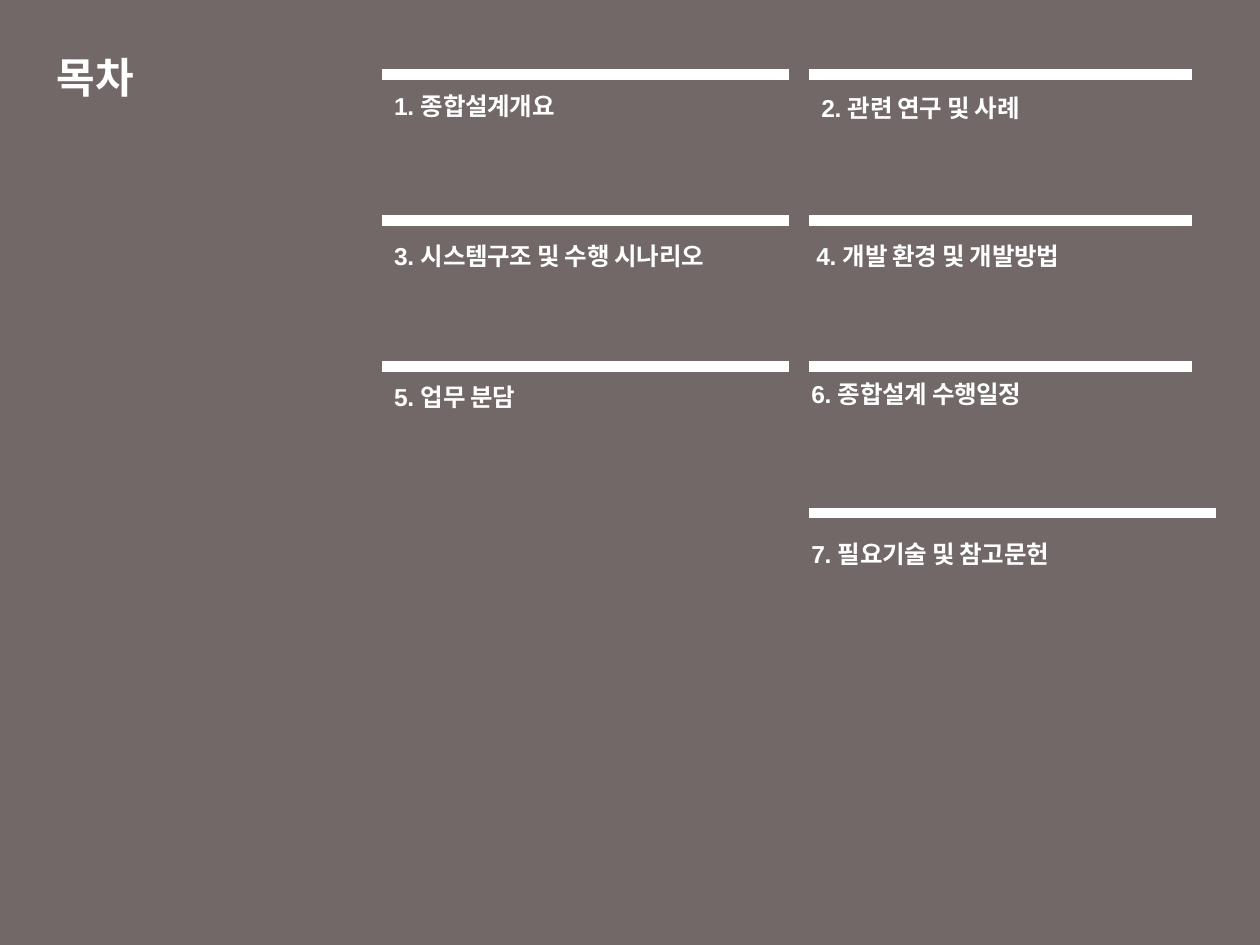
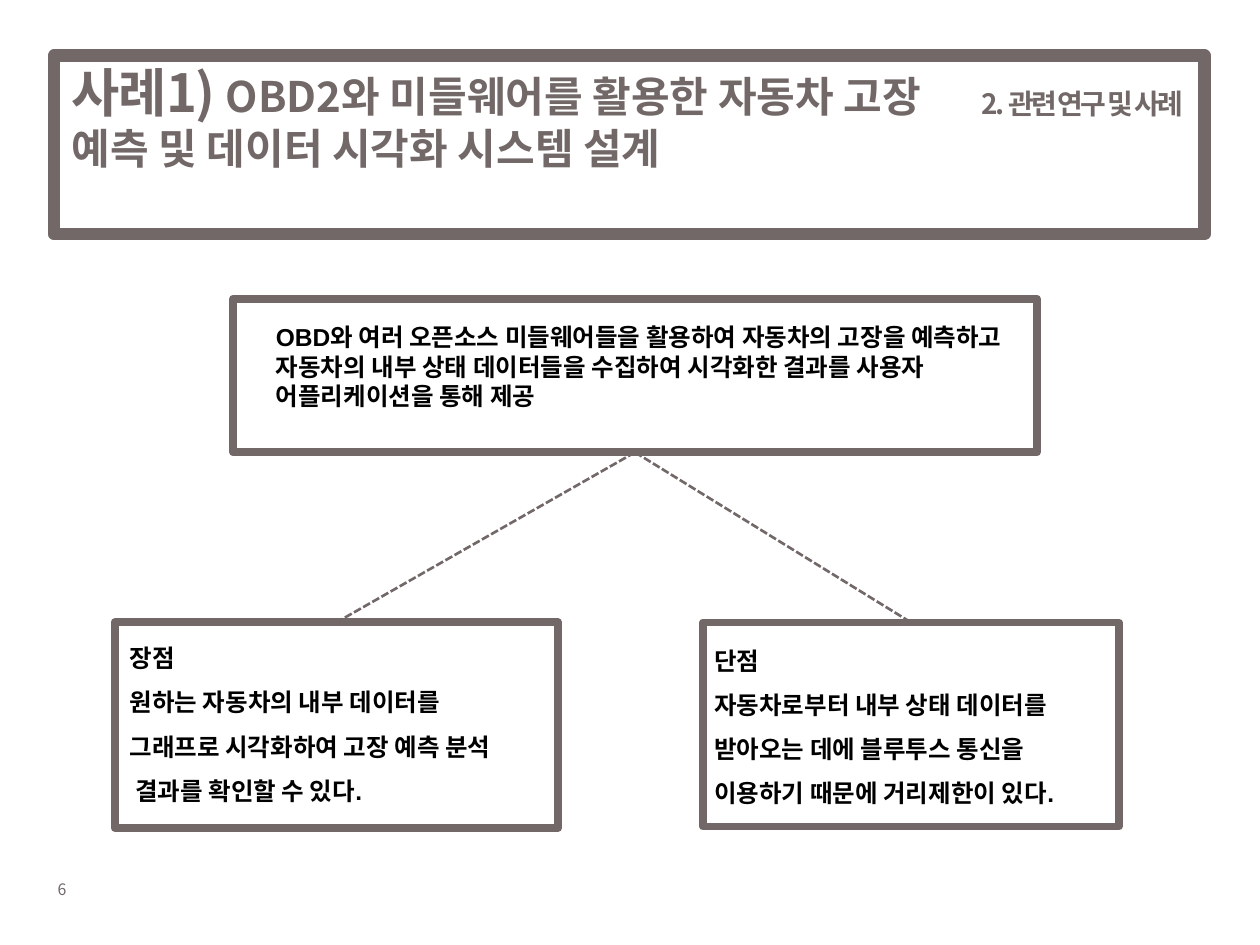
from lxml.etree import SubElement
from pptx import Presentation
from pptx.dml.color import RGBColor
from pptx.enum.dml import MSO_LINE
from pptx.enum.shapes import MSO_CONNECTOR, MSO_SHAPE
from pptx.enum.text import MSO_ANCHOR, MSO_AUTO_SIZE, PP_ALIGN
from pptx.oxml.ns import qn
from pptx.util import Inches, Pt

COLUMNS, ROWS = 100, 75
CELL = Inches(0.1)
TAUPE, WHITE, BLACK = "726868", "FFFFFF", "000000"
KOREAN, LATIN = "Noto Sans CJK KR", "Arial"
TITLE_ONLY = 5

AGENDA_LEFT = (30.3, 64.2)
AGENDA_WIDTH = (32.3, 30.4)
AGENDA_TOP, AGENDA_STEP = 5.9, 11.6
AGENDA = [
    ("1. 종합설계개요", 0, 0, 0, 0.8),
    ("2. 관련 연구 및 사례", 1, 0, 0, 1),
    ("3. 시스템구조 및 수행 시나리오", 0, 1, 0, 1.1),
    ("4. 개발 환경 및 개발방법", 1, 1, -0.4, 1.1),
    ("5. 업무 분담", 0, 2, 0, 0.7),
    ("6. 종합설계 수행일정", 1, 2, -0.8, 0.5),
    ("7. 필요기술 및 참고문헌", 1, 3, -0.8, 1.6),
]
SUMMARY = (
    "OBD와 여러 오픈소스 미들웨어들을 활용하여 자동차의 고장을 "
    "예측하고 자동차의 내부 상태 데이터들을 수집하여 시각화한 결과를 "
    "사용자 어플리케이션을 통해 제공"
)
PROS = [
    "장점",
    "원하는 자동차의 내부 데이터를",
    "그래프로 시각화하여 고장 예측 분석",
    " 결과를 확인할 수 있다.",
]
CONS = [
    "단점",
    "자동차로부터 내부 상태 데이터를",
    "받아오는 데에 블루투스 통신을",
    "이용하기 때문에 거리제한이 있다.",
]


def rgb(value):
    return RGBColor.from_string(value)


def cells(*counts):
    return [int(count * CELL) for count in counts]


def add_run(p, text, size=14, font=LATIN, color=BLACK, bold=True, spacing=0):
    r = p.add_run()
    r.text = text
    r.font.size = Pt(size)
    r.font.name = font
    r.font.bold = bold
    r.font.color.rgb = rgb(color)
    props = r.font._element
    props.set("spc", str(round(spacing * 100)))
    SubElement(props, qn("a:ea")).set("typeface", KOREAN)


def add_text(s, at, lines, align=PP_ALIGN.LEFT, leading=16.8, wrap=True, **style):
    tf = s.shapes.add_textbox(*cells(*at)).text_frame
    tf.word_wrap = wrap
    for i, line in enumerate(lines):
        p = tf.add_paragraph() if i else tf.paragraphs[0]
        p.alignment = align
        if leading:
            p.line_spacing = Pt(leading)
        add_run(p, line, **style)


def set_title(s, at, runs, anchor, leading=None):
    sp = s.shapes.title
    sp.left, sp.top, sp.width, sp.height = cells(*at)
    tf = sp.text_frame
    tf.word_wrap = True
    tf.auto_size = MSO_AUTO_SIZE.NONE
    tf.vertical_anchor = anchor
    p = tf.paragraphs[0]
    p.alignment = PP_ALIGN.LEFT
    if leading:
        p.line_spacing = Pt(leading)
    for text, style in runs:
        add_run(p, text, font=KOREAN, **style)


def add_rect(s, at, fill=None, border=0):
    sp = s.shapes.add_shape(MSO_SHAPE.RECTANGLE, *cells(*at))
    sp.shadow.inherit = False
    if fill:
        sp.fill.solid()
        sp.fill.fore_color.rgb = rgb(fill)
    else:
        sp.fill.background()
    if border:
        sp.line.color.rgb = rgb(TAUPE)
        sp.line.width = Pt(border)
    else:
        sp.line.fill.background()
    return sp


def add_line(s, color, width, ends=(0, 0, 0, 0), dash=None):
    line = s.shapes.add_connector(MSO_CONNECTOR.STRAIGHT, *cells(*ends))
    line.line.color.rgb = rgb(color)
    line.line.width = Pt(width)
    if dash:
        line.line.dash_style = dash
    SubElement(line._element.spPr, qn("a:effectLst"))
    return line


def join(s, upper, lower):
    line = add_line(s, TAUPE, 1.5, dash=MSO_LINE.SQUARE_DOT)
    line.begin_connect(upper, 2)
    line.end_connect(lower, 0)


def add_agenda_item(s, text, column, row, shift, drop):
    left = AGENDA_LEFT[column]
    top = AGENDA_TOP + row * AGENDA_STEP
    width = AGENDA_WIDTH[column if row < 3 else 0]
    add_line(s, WHITE, 6, (left, top, left + width, top))
    add_text(s, (left + shift, top + drop, 36.2, 3.9), [text],
             color=WHITE, spacing=-0.2)


def build_agenda(prs):
    s = prs.slides.add_slide(prs.slide_layouts[TITLE_ONLY])
    backdrop = add_rect(s, (0, 0, COLUMNS, ROWS), fill=TAUPE)
    s.shapes.title.element.addprevious(backdrop.element)
    set_title(s, (3.5, 2.9, 31.5, 6.3),
              [("목차", dict(size=24, color=WHITE))], MSO_ANCHOR.MIDDLE)
    for item in AGENDA:
        add_agenda_item(s, *item)


def build_case(prs):
    s = prs.slides.add_slide(prs.slide_layouts[TITLE_ONLY])
    add_text(s, (3.6, 69.3, 5.2, 2.5), ["6"], leading=None, wrap=False,
             size=9, font=KOREAN, color=TAUPE, bold=False)
    add_rect(s, (4.3, 4.4, 91.3, 14.2), border=7)
    add_text(s, (73.6, 1.3, 21.3, 11.8), ["2. 관련 연구 및 사례"],
             align=PP_ALIGN.RIGHT, leading=56, size=16, font=KOREAN,
             color=TAUPE, spacing=-1.5)
    set_title(s, (4.7, 5.2, 71.7, 12.6), [
        ("사례1) ", dict(size=30, color=TAUPE, spacing=-1)),
        ("OBD2와 미들웨어를 활용한 자동차 고장 예측 및 데이터 시각화 시스템 설계",
         dict(size=24, color=TAUPE)),
    ], MSO_ANCHOR.TOP, leading=29)

    summary = add_rect(s, (18.5, 23.7, 63.8, 12.2), border=4.5)
    add_text(s, (20.9, 25.1, 59.8, 13.9), [SUMMARY])
    for frame_at, text_at, lines in (
        ((9.1, 49.4, 35.2, 16.3), (9.3, 49.4, 34.1, 14.3), PROS),
        ((55.8, 49.4, 33, 16.2), (55.7, 49.6, 33, 14.7), CONS),
    ):
        frame = add_rect(s, frame_at, border=4.5)
        add_text(s, text_at, lines, leading=25.2)
        join(s, summary, frame)


def main():
    prs = Presentation()
    prs.slide_width, prs.slide_height = cells(COLUMNS, ROWS)
    build_agenda(prs)
    build_case(prs)
    prs.save("out.pptx")


if __name__ == "__main__":
    main()
